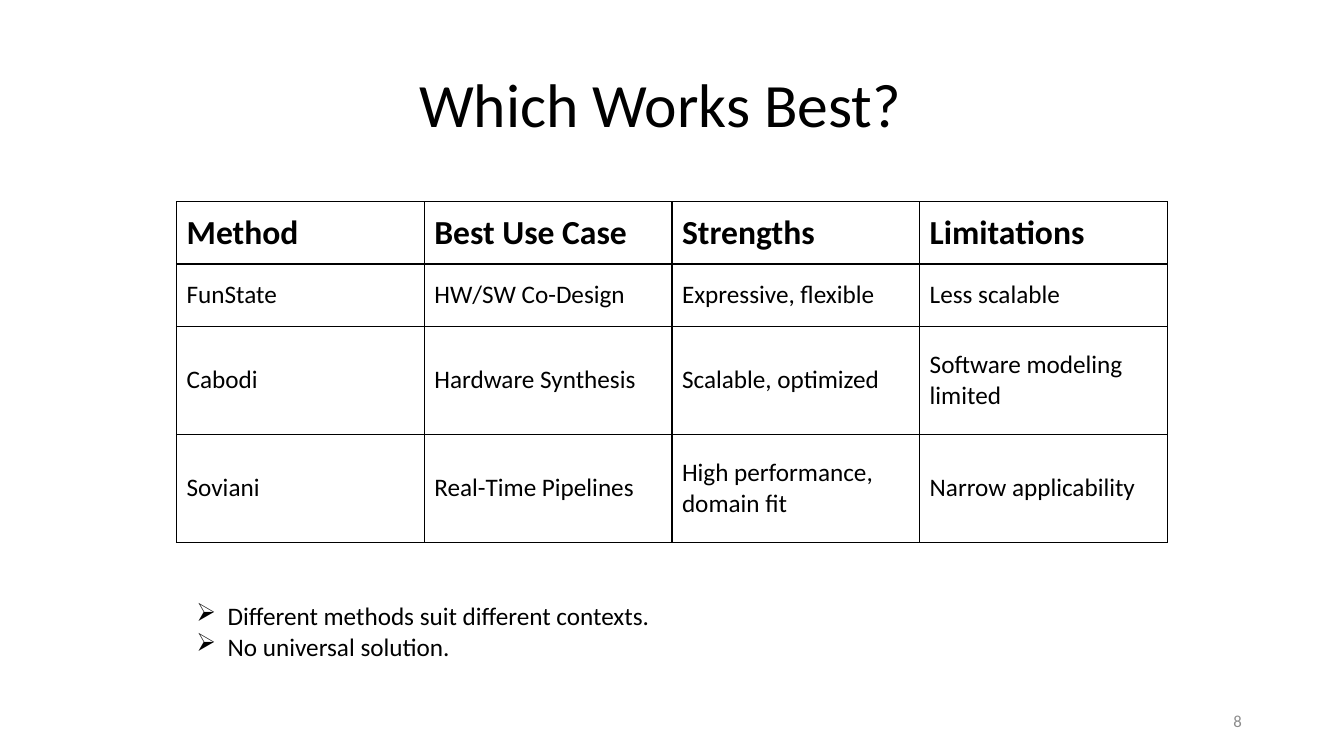
from dataclasses import dataclass

from lxml import etree
from pptx import Presentation
from pptx.dml.color import RGBColor
from pptx.enum.text import MSO_ANCHOR, PP_ALIGN
from pptx.oxml.ns import qn
from pptx.util import Cm, Pt

TOP, MIDDLE = MSO_ANCHOR.TOP, MSO_ANCHOR.MIDDLE
LEFT, CENTER, RIGHT = PP_ALIGN.LEFT, PP_ALIGN.CENTER, PP_ALIGN.RIGHT


@dataclass(frozen=True)
class Theme:
    """Font, colours and type sizes of the slide."""
    font: str = "Calibri"
    ink: str = "000000"
    muted: str = "8C8C8C"
    title: int = 44
    head: int = 24
    body: int = 18
    small: int = 12
    rule: int = 1


THEME = Theme()
ROWS = [
    ("Method", "Best Use Case", "Strengths", "Limitations"),
    ("FunState", "HW/SW Co-Design", "Expressive, flexible", "Less scalable"),
    ("Cabodi", "Hardware Synthesis", "Scalable, optimized", "Software modeling limited"),
    ("Soviani", "Real-Time Pipelines", "High performance, domain fit", "Narrow applicability"),
]
HEIGHTS = (1.57, 1.57, 2.72, 2.72)
POINTS = ("Different methods suit different contexts.", "No universal solution.")


def style(para, size, color=THEME.ink, bold=False, align=LEFT):
    """Set the font and alignment of a paragraph."""
    para.alignment = align
    font = para.font
    font.name, font.size, font.bold = THEME.font, Pt(size), bold
    font.color.rgb = RGBColor.from_string(color)


def add_text(slide, box, lines, size, color=THEME.ink, align=LEFT, anchor=TOP):
    """Add a wrapped text box and return its paragraphs."""
    frame = slide.shapes.add_textbox(*map(Cm, box)).text_frame
    frame.word_wrap, frame.vertical_anchor = True, anchor
    frame.text = "\n".join(lines)
    for para in frame.paragraphs:
        style(para, size, color, align=align)
    return frame.paragraphs


def add_title(slide, box):
    """Add the centred slide title."""
    for para in add_text(slide, box, ["Which Works Best?"], THEME.title, align=CENTER):
        para.line_spacing = 0.9


def add_border(cell):
    """Draw a thin line on each side of a cell."""
    props = cell._tc.get_or_add_tcPr()
    for side in ("lnL", "lnR", "lnT", "lnB"):
        line = etree.SubElement(props, qn(f"a:{side}"), w=str(Pt(THEME.rule)))
        fill = etree.SubElement(line, qn("a:solidFill"))
        etree.SubElement(fill, qn("a:srgbClr"), val=THEME.ink)


def add_grid(slide, box):
    """Add the table that compares the methods."""
    count = len(ROWS[0])
    table = slide.shapes.add_table(len(ROWS), count, *map(Cm, box)).table
    table.first_row = table.horz_banding = False
    for col in table.columns:
        col.width = Cm(box[2] / count)
    for r, (texts, height) in enumerate(zip(ROWS, HEIGHTS)):
        table.rows[r].height = Cm(height)
        for c, text in enumerate(texts):
            cell = table.cell(r, c)
            cell.text, cell.vertical_anchor = text, MIDDLE
            add_border(cell)
            cell.fill.background()
            size = THEME.body if r else THEME.head
            style(cell.text_frame.paragraphs[0], size, bold=r == 0)


def add_points(slide, box, indent=0.79):
    """Add the closing remarks with arrow bullets."""
    for para in add_text(slide, box, POINTS, THEME.body):
        props = para._p.get_or_add_pPr()
        props.set("marL", str(Cm(indent)))
        props.set("indent", str(-Cm(indent)))
        mark = etree.Element(qn("a:buChar"), char="➢")
        props.insert_element_before(mark, "a:tabLst", "a:defRPr", "a:extLst")


def add_page(slide, box):
    """Add the slide number."""
    add_text(slide, box, ["8"], THEME.small, THEME.muted, RIGHT, MIDDLE)


def main():
    """Build and save the slide."""
    deck = Presentation()
    deck.slide_width, deck.slide_height = Cm(33.87), Cm(19.05)
    slide = deck.slides.add_slide(deck.slide_layouts[6])
    add_title(slide, (6.15, 1.75, 20.98, 3.68))
    add_page(slide, (23.93, 17.65, 7.62, 1.02))
    add_grid(slide, (4.45, 5.08, 24.97, sum(HEIGHTS)))
    add_points(slide, (4.7, 15.01, 19, 2.57))
    deck.save("out.pptx")


if __name__ == "__main__":
    main()
